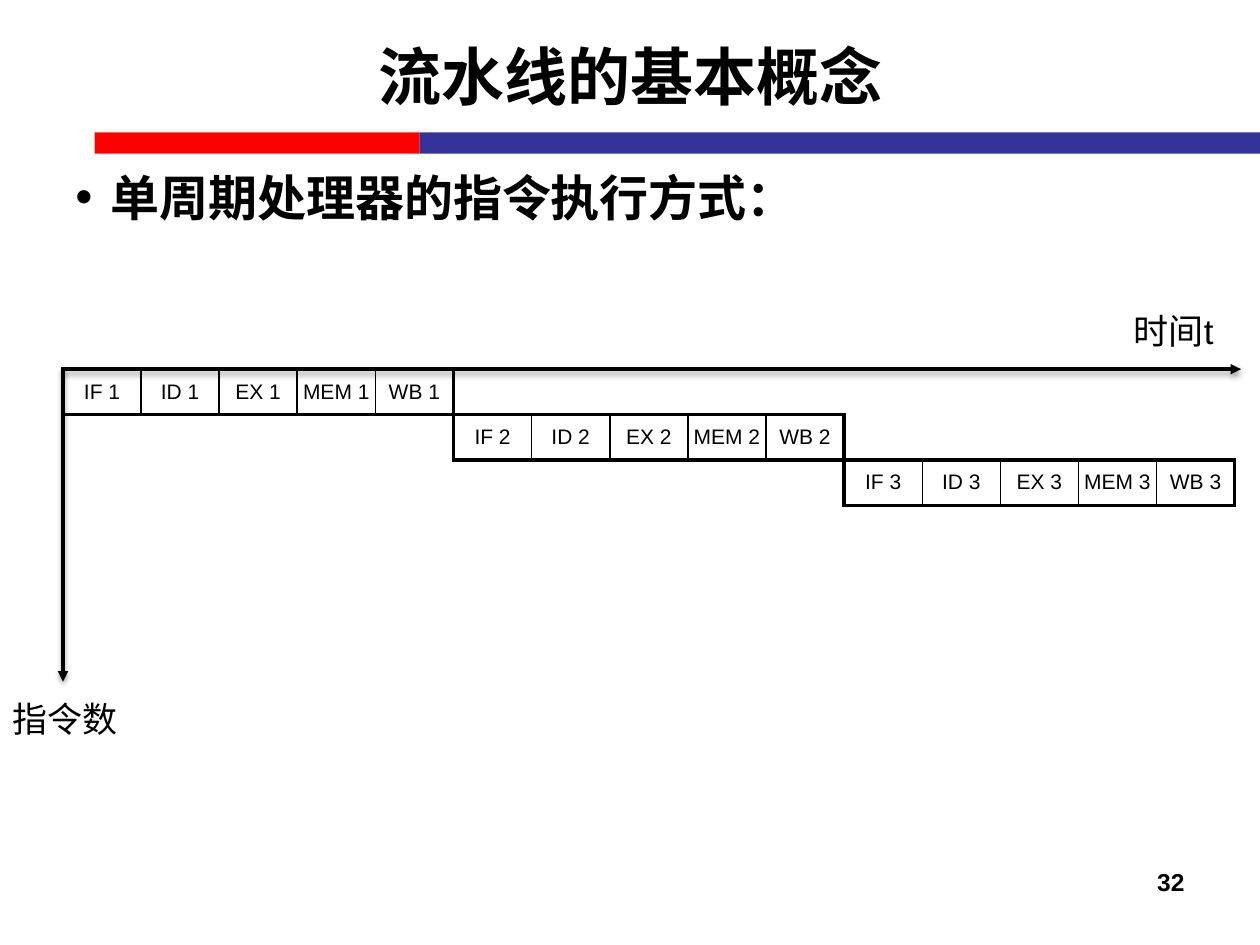
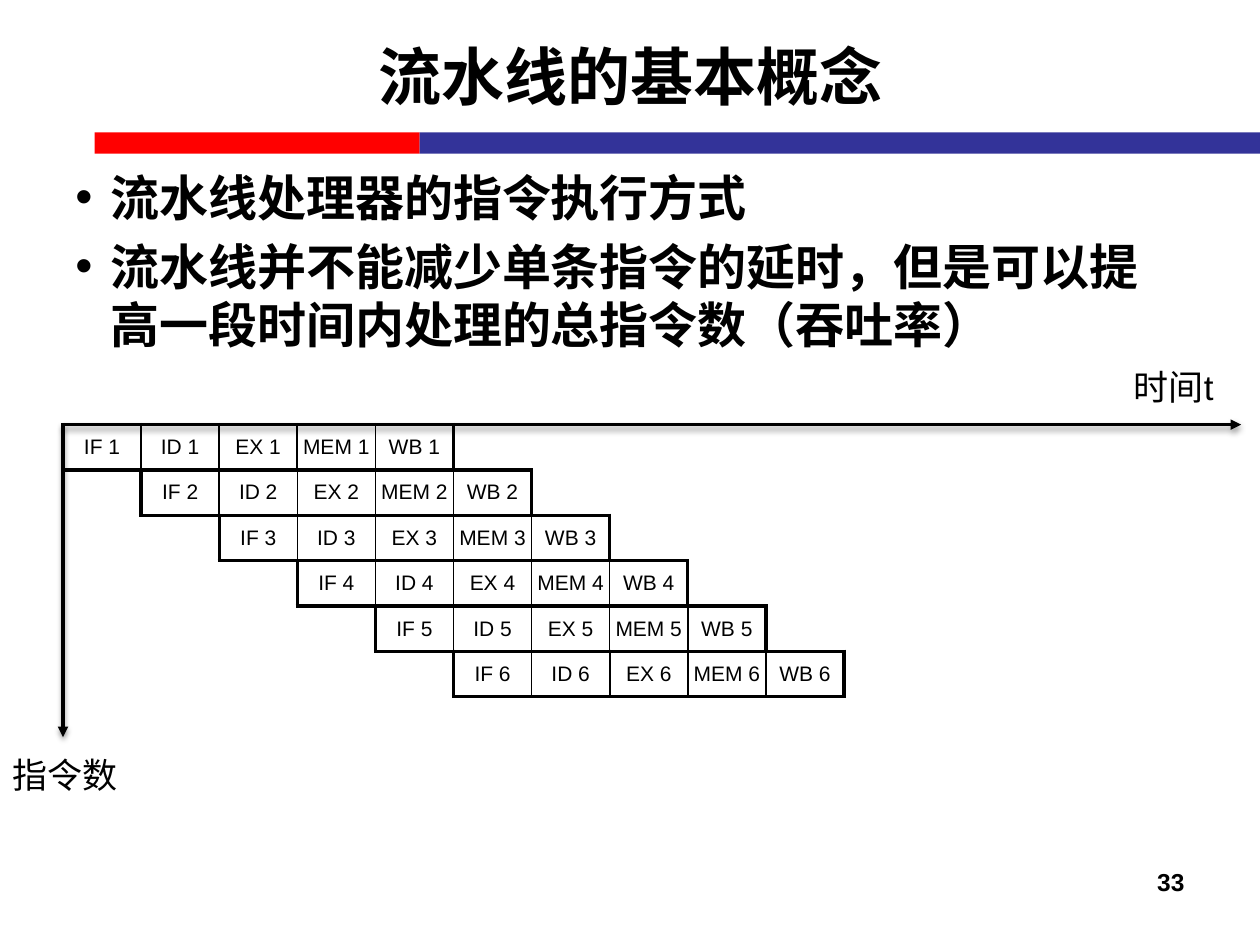
from dataclasses import dataclass
from typing import Any

from lxml import etree
from pptx import Presentation
from pptx.dml.color import RGBColor
from pptx.enum.shapes import MSO_CONNECTOR, MSO_SHAPE
from pptx.enum.text import MSO_ANCHOR, MSO_AUTO_SIZE, PP_ALIGN
from pptx.oxml.ns import qn
from pptx.util import Inches, Pt

RECT = MSO_SHAPE.RECTANGLE
LINE = MSO_CONNECTOR.STRAIGHT
TOP, MIDDLE = MSO_ANCHOR.TOP, MSO_ANCHOR.MIDDLE
LEFT, CENTER, RIGHT = PP_ALIGN.LEFT, PP_ALIGN.CENTER, PP_ALIGN.RIGHT
NO_FIT = MSO_AUTO_SIZE.NONE
TITLE_ONLY = 5


@dataclass(frozen=True)
class Theme:
    font: str = "Arial"
    ink: str = "000000"
    red: str = "FF0000"
    blue: str = "333399"
    title: int = 36
    body: int = 28
    label: int = 20
    page: int = 14
    cell: int = 12
    axis: float = 2
    frame: float = 2.25
    inner: float = 1


@dataclass(frozen=True)
class Box:
    left: float
    top: float
    width: float
    height: float

    def place(self) -> tuple:
        return tuple(map(Inches, (self.left, self.top, self.width, self.height)))


@dataclass(frozen=True)
class Band:
    box: Box
    color: str


@dataclass(frozen=True)
class Style:
    size: int
    bold: bool = False
    align: Any = LEFT
    anchor: Any = TOP
    bullet: bool = False


@dataclass(frozen=True)
class Page:
    number: int
    points: tuple[str, ...]
    top: float
    rows: int
    step: int


THEME = Theme()
TITLE = "流水线的基本概念"
TITLE_BOX = Box(0.5, 0.15, 9, 0.9)
BODY_BOX = Box(0.5, 1.28, 9, 4.95)
PAGE_BOX = Box(7.17, 6.83, 2.33, 0.52)
BANDS = (
    Band(Box(0.75, 1.05, 2.58, 0.17), THEME.red),
    Band(Box(3.33, 1.05, 6.67, 0.17), THEME.blue),
)
STAGES = ("IF", "ID", "EX", "MEM", "WB")
START, END, DROP = 0.5, 9.85, 2.48
CELL_W, CELL_H = 0.62, 0.36
HEAD = Style(THEME.title, True, CENTER, MIDDLE)
BODY = Style(THEME.body, True, bullet=True)
LABEL = Style(THEME.label)
FOOT = Style(THEME.page, True, RIGHT)
CELL = Style(THEME.cell, align=CENTER, anchor=MIDDLE)
PAGES = (
    Page(32, ("单周期处理器的指令执行方式：",), 2.93, 3, 5),
    Page(
        33,
        (
            "流水线处理器的指令执行方式",
            "流水线并不能减少单条指令的延时，但是可以提高一段时间内处理的总指令数（吞吐率）",
        ),
        3.37, 6, 1,
    ),
)


def apply(target: Any, values: dict[str, Any]) -> None:
    for name, value in values.items():
        setattr(target, name, value)


def child(parent: Any, tag: str, **values: Any) -> Any:
    return etree.SubElement(parent, qn(tag), {k: str(v) for k, v in values.items()})


def write(frame: Any, lines: tuple[str, ...], style: Style) -> None:
    for index, line in enumerate(lines):
        para = frame.add_paragraph() if index else frame.paragraphs[0]
        para.text = line
        para.alignment = style.align
        if index:
            para.space_before = Pt(style.size * 0.2)
        if style.bullet:
            props = para._p.get_or_add_pPr()
            apply_indent = {"marL": Inches(0.28), "indent": -Inches(0.28)}
            for name, value in apply_indent.items():
                props.set(name, str(value))
            child(props, "a:buFont", typeface=THEME.font)
            child(props, "a:buChar", char="•")
        font = para.runs[0].font
        apply(font, {"name": THEME.font, "size": Pt(style.size), "bold": style.bold})
        font.color.rgb = RGBColor.from_string(THEME.ink)


def fill_text(shape: Any, lines: tuple[str, ...], style: Style) -> None:
    frame = shape.text_frame
    apply(frame, {"word_wrap": True, "auto_size": NO_FIT, "vertical_anchor": style.anchor})
    write(frame, lines, style)


def add_text(slide: Any, box: Box, lines: tuple[str, ...], style: Style) -> None:
    fill_text(slide.shapes.add_textbox(*box.place()), lines, style)


def add_title(slide: Any) -> None:
    title = slide.shapes.title
    apply(title, dict(zip(("left", "top", "width", "height"), TITLE_BOX.place())))
    fill_text(title, (TITLE,), HEAD)


def add_band(slide: Any, band: Band) -> None:
    shape = slide.shapes.add_shape(RECT, *band.box.place())
    shape.shadow.inherit = False
    shape.fill.solid()
    shape.fill.fore_color.rgb = RGBColor.from_string(band.color)
    shape.line.fill.background()


def add_axis(slide: Any, top: float, right: float, bottom: float) -> None:
    axis = slide.shapes.add_connector(LINE, *map(Inches, (START, top, right, bottom)))
    axis.line.color.rgb = RGBColor.from_string(THEME.ink)
    axis.line.width = Pt(THEME.axis)
    child(axis.line._get_or_add_ln(), "a:tailEnd", type="triangle")
    effects = child(axis._element.spPr, "a:effectLst")
    shadow = child(effects, "a:outerShdw", blurRad=Pt(3.1), dist=Pt(1.6),
                   dir=5400000, rotWithShape=0)
    color = child(shadow, "a:srgbClr", val=THEME.ink)
    child(color, "a:alpha", val=38000)


def add_edge(cell: Any, side: str, width: float) -> None:
    edge = child(cell._tc.get_or_add_tcPr(), f"a:ln{side}", w=Pt(width))
    child(child(edge, "a:solidFill"), "a:srgbClr", val=THEME.ink)


def add_row(slide: Any, box: Box, number: int) -> None:
    count = len(STAGES)
    table = slide.shapes.add_table(1, count, *box.place()).table
    apply(table, {"first_row": False, "horz_banding": False})
    for index, stage in enumerate(STAGES):
        table.columns[index].width = Inches(CELL_W)
        cell = table.cell(0, index)
        apply(cell, {
            "margin_left": Inches(0.04), "margin_right": Inches(0.04),
            "margin_top": Inches(0.05), "margin_bottom": Inches(0.05),
            "vertical_anchor": MIDDLE,
        })
        write(cell.text_frame, (f"{stage} {number}",), CELL)
        edges = {
            "L": THEME.inner if index else THEME.frame,
            "R": THEME.inner if index < count - 1 else THEME.frame,
            "T": THEME.frame,
            "B": THEME.frame,
        }
        for side, width in edges.items():
            add_edge(cell, side, width)
        cell.fill.background()


def add_chart(slide: Any, page: Page) -> None:
    top = page.top
    add_axis(slide, top, END, top)
    add_axis(slide, top, START, top + DROP)
    add_text(slide, Box(8.9, top - 0.52, 1.1, 0.43), ("时间t",), LABEL)
    add_text(slide, Box(0, top + 2.56, 1.17, 0.44), ("指令数",), LABEL)
    for row in range(page.rows):
        left = START + row * page.step * CELL_W
        box = Box(left, top + row * CELL_H, CELL_W * len(STAGES), CELL_H)
        add_row(slide, box, row + 1)


def add_page(deck: Any, page: Page) -> None:
    slide = deck.slides.add_slide(deck.slide_layouts[TITLE_ONLY])
    for band in BANDS:
        add_band(slide, band)
    add_title(slide)
    add_text(slide, BODY_BOX, page.points, BODY)
    add_chart(slide, page)
    add_text(slide, PAGE_BOX, (str(page.number),), FOOT)


def main() -> None:
    deck = Presentation()
    apply(deck, {"slide_width": Inches(10), "slide_height": Inches(7.5)})
    for page in PAGES:
        add_page(deck, page)
    deck.save("out.pptx")


if __name__ == "__main__":
    main()
